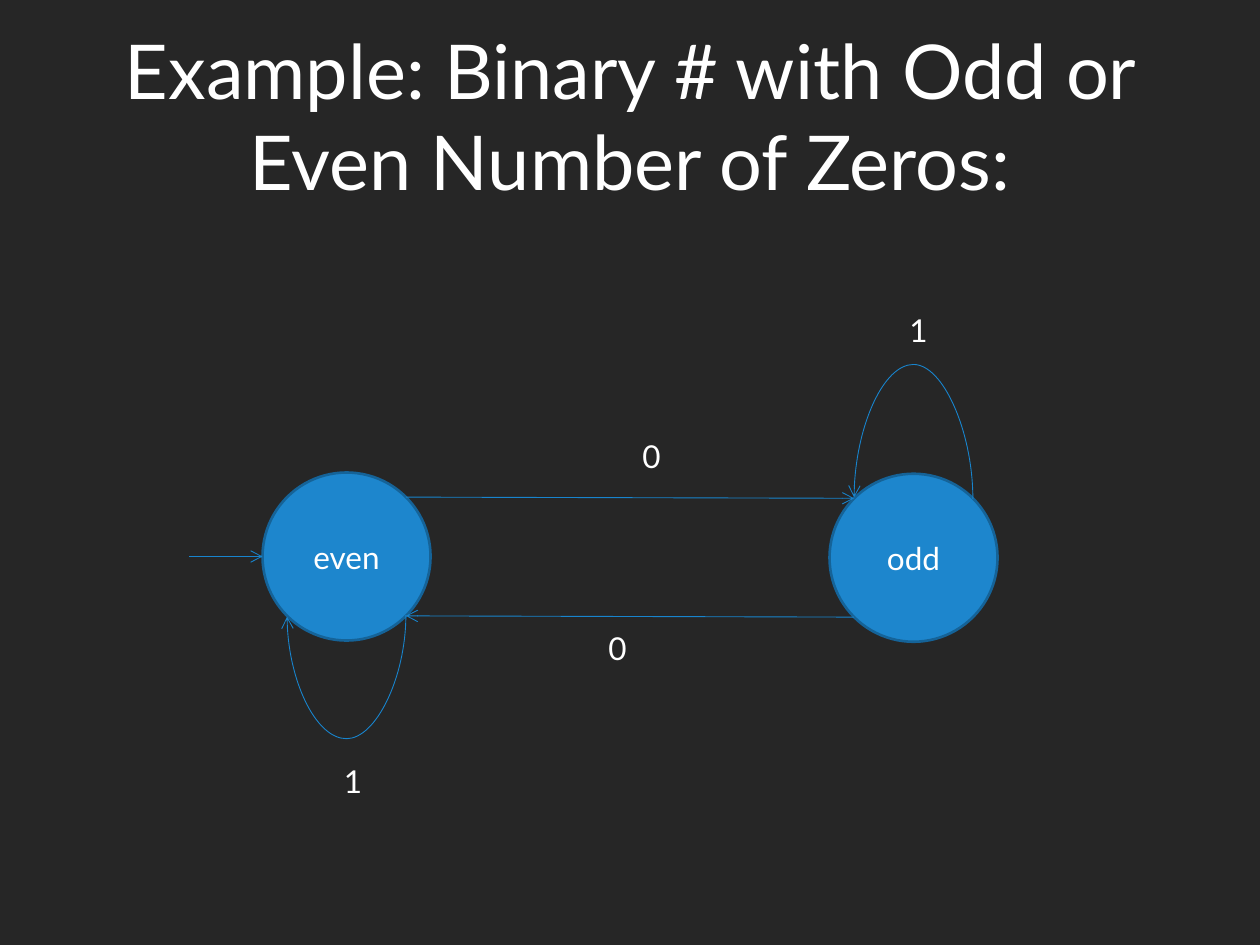
from math import sqrt

from lxml import etree
from pptx import Presentation
from pptx.dml.color import RGBColor
from pptx.enum.shapes import MSO_CONNECTOR as Connector, MSO_SHAPE as Shape
from pptx.enum.text import MSO_ANCHOR as Anchor, MSO_AUTO_SIZE as AutoSize, PP_ALIGN as Align
from pptx.oxml.ns import qn
from pptx.util import Pt

COLORS = {"background": "262626", "text": "FFFFFF", "state": "1D86CD",
          "outline": "156398", "arrow": "1884CD"}
RADIUS = 48
REACH = RADIUS / sqrt(2)  # from a circle's centre to its diagonal points
# Connection sites of an ellipse
TOP_LEFT, LEFT, BOTTOM_LEFT, BOTTOM_RIGHT, TOP_RIGHT = 1, 2, 3, 5, 7


def set_text(shape, text, size, align):
    frame = shape.text_frame
    frame.text = text
    para = frame.paragraphs[0]
    para.alignment = align
    para.font.name = "Lato"
    para.font.size = Pt(size)
    para.font.color.rgb = RGBColor.from_string(COLORS["text"])


def add_arrow(kind, start, end, begin_site=None, end_site=None):
    """Add an arrow; a site is a (shape, connection index) pair."""
    arrow = page.shapes.add_connector(kind, *(Pt(round(v, 2)) for v in (*start, *end)))
    arrow.line.color.rgb = RGBColor.from_string(COLORS["arrow"])
    arrow.line.width = Pt(0.5)
    line = arrow.line._get_or_add_ln()
    etree.SubElement(line, qn("a:tailEnd"), type="arrow")
    etree.SubElement(arrow._element.spPr, qn("a:effectLst"))
    joints = arrow._element.find(".//" + qn("p:cNvCxnSpPr"))
    for tag, site in (("a:stCxn", begin_site), ("a:endCxn", end_site)):
        if site:
            etree.SubElement(joints, qn(tag), id=str(site[0].shape_id), idx=str(site[1]))
    return arrow


deck = Presentation()
deck.slide_width, deck.slide_height = Pt(720), Pt(540)
page = deck.slides.add_slide(deck.slide_layouts[5])
page.background.fill.solid()
page.background.fill.fore_color.rgb = RGBColor.from_string(COLORS["background"])

title = page.shapes.title
title.left, title.top, title.width, title.height = Pt(54), Pt(9.4), Pt(612), Pt(112.3)
set_text(title, "Example: Binary # with Odd or Even Number of Zeros:", 43.2, Align.CENTER)
title.text_frame.vertical_anchor = Anchor.MIDDLE
title.text_frame.auto_size = AutoSize.NONE

# States
centers = {"even": (198, 318), "odd": (522, 318.7)}
states = {}
for name, (x, y) in centers.items():
    state = page.shapes.add_shape(Shape.OVAL, Pt(x - RADIUS), Pt(y - RADIUS),
                                  Pt(2 * RADIUS), Pt(2 * RADIUS))
    state.shadow.inherit = False
    state.fill.solid()
    state.fill.fore_color.rgb = RGBColor.from_string(COLORS["state"])
    state.line.color.rgb = RGBColor.from_string(COLORS["outline"])
    state.line.width = Pt(1.5)
    set_text(state, name, 18, Align.CENTER)
    state.text_frame.vertical_anchor = Anchor.MIDDLE
    states[name] = state
even, odd = states["even"], states["odd"]
(even_x, even_y), (odd_x, odd_y) = centers["even"], centers["odd"]

# Transitions between the states, and the entry arrow
add_arrow(Connector.STRAIGHT, (even_x + REACH, even_y - REACH), (odd_x - REACH, odd_y - REACH),
          (even, TOP_RIGHT), (odd, TOP_LEFT))
add_arrow(Connector.STRAIGHT, (odd_x - REACH, odd_y + REACH), (even_x + REACH, even_y + REACH),
          (odd, BOTTOM_LEFT), (even, BOTTOM_RIGHT))
add_arrow(Connector.STRAIGHT, (108, even_y), (even_x - RADIUS, even_y), None, (even, LEFT))

# Loops: curves one point wide, turned on their side, bulging by `bulge` points
for state, x, y, begin, end, turn, flip, bulge in (
        (odd, odd_x, odd_y - REACH, TOP_RIGHT, TOP_LEFT, 270, True, 77.59),
        (even, even_x, even_y + REACH, BOTTOM_RIGHT, BOTTOM_LEFT, 90, False, 71.24)):
    loop = add_arrow(Connector.CURVE, (x - 0.5, y - REACH), (x + 0.5, y + REACH),
                     (state, begin), (state, end))
    frame = loop._element.spPr.find(qn("a:xfrm"))
    frame.set("rot", str(turn * 60000))
    if flip:
        frame.set("flipV", "1")
    guides = loop._element.spPr.find(qn("a:prstGeom")).find(qn("a:avLst"))
    etree.SubElement(guides, qn("a:gd"), name="adj1", fmla=f"val {round(bulge * 100000)}")

# Transition labels
for text, x, y in (("0", 360, 246.2), ("0", 340.6, 355.7),
                   ("1", 512.6, 174.2), ("1", 189.4, 432)):
    box = page.shapes.add_textbox(Pt(x), Pt(y), Pt(18), Pt(29))
    set_text(box, text, 18, Align.LEFT)
    box.text_frame.word_wrap = True
    box.text_frame.auto_size = AutoSize.SHAPE_TO_FIT_TEXT

deck.save("out.pptx")
